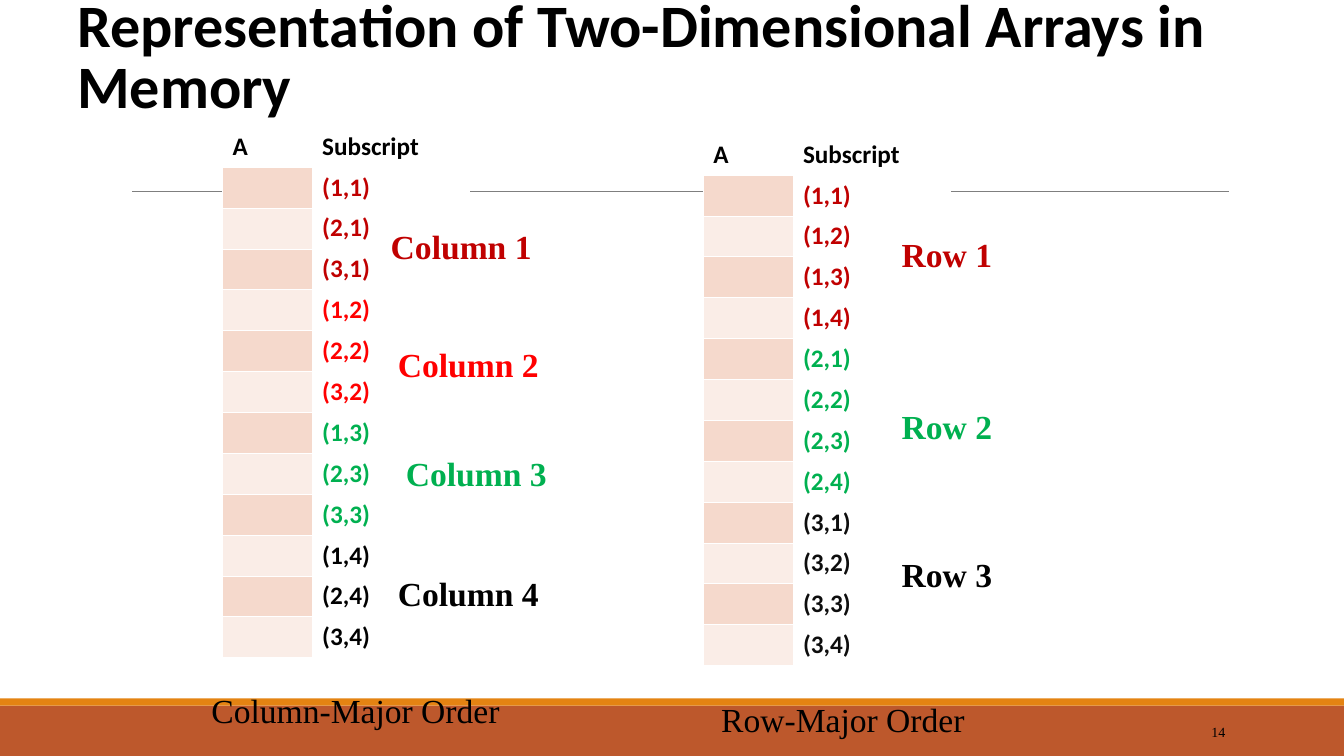
from lxml.etree import SubElement
from pptx import Presentation
from pptx.dml.color import RGBColor
from pptx.enum.shapes import MSO_CONNECTOR, MSO_SHAPE
from pptx.enum.text import MSO_ANCHOR, PP_ALIGN
from pptx.oxml.ns import qn
from pptx.util import Cm, Pt

RED, BRIGHT_RED, GREEN, BLACK = "C00000", "FF0000", "00B050", "000000"
WHITE = "FFFFFF"
BANDS = ("F5D9CC", "FAEDE7")
ROW_HEIGHT = 1.03


def color(value):
    return RGBColor.from_string(value)


def write(tf, text, font="Times New Roman", size=24, fill=BLACK, bold=False,
          align=PP_ALIGN.LEFT, spacing=None):
    p = tf.paragraphs[0]
    p.alignment = align
    p.line_spacing = spacing
    r = p.add_run()
    r.text = text
    r.font.name = font
    r.font.size = Pt(size)
    r.font.bold = bold
    r.font.color.rgb = color(fill)


class SlideBuilder:
    heading_font = "Calibri"

    def __init__(self, s):
        self.s = s

    def bar(self, x, y, w, h, fill):
        sp = self.s.shapes.add_shape(MSO_SHAPE.RECTANGLE, Cm(x), Cm(y), Cm(w), Cm(h))
        sp.shadow.inherit = False
        sp.fill.solid()
        sp.fill.fore_color.rgb = color(fill)
        sp.line.fill.background()

    def line(self, x1, y1, x2, y2, stroke, width):
        sp = self.s.shapes.add_connector(
            MSO_CONNECTOR.STRAIGHT, Cm(x1), Cm(y1), Cm(x2), Cm(y2))
        sp.line.color.rgb = color(stroke)
        sp.line.width = Pt(width)
        SubElement(sp._element.spPr, qn("a:effectLst"))

    def text(self, x, y, w, h, text, anchor=MSO_ANCHOR.TOP, **style):
        tf = self.s.shapes.add_textbox(Cm(x), Cm(y), Cm(w), Cm(h)).text_frame
        tf.word_wrap = True
        tf.vertical_anchor = anchor
        write(tf, text, **style)

    def cell(self, cell, text, fill, text_color, top, bottom):
        tcPr = cell._tc.get_or_add_tcPr()
        for side, width in (("L", 0.45), ("R", 0.45), ("T", top), ("B", bottom)):
            ln = SubElement(tcPr, qn(f"a:ln{side}"), w=str(Pt(width)))
            SubElement(SubElement(ln, qn("a:solidFill")), qn("a:srgbClr"), val=WHITE)
        cell.fill.solid()
        cell.fill.fore_color.rgb = color(fill)
        if text:
            write(cell.text_frame, text, font=self.heading_font, size=18,
                  fill=text_color, bold=True)

    def memory_table(self, x, y, subscripts):
        widths = (2.26, 3.96)
        rows = [("A", "Subscript", WHITE, BLACK)]
        rows += [("", f"({i},{j})", BANDS[n % 2], fill)
                 for n, (i, j, fill) in enumerate(subscripts)]
        table = self.s.shapes.add_table(
            len(rows), 2, Cm(x), Cm(y), Cm(sum(widths)),
            Cm(ROW_HEIGHT * len(rows))).table
        table.horz_banding = False
        for column, width in zip(table.columns, widths):
            column.width = Cm(width)
        for n, (value, subscript, band, fill) in enumerate(rows):
            table.rows[n].height = Cm(ROW_HEIGHT)
            top = 1.47 if n == 1 else 0.45
            bottom = 1.47 if n == 0 else 0.45
            self.cell(table.cell(n, 0), value, band, fill, top, bottom)
            self.cell(table.cell(n, 1), subscript, WHITE, fill, top, bottom)


def main():
    prs = Presentation()
    prs.slide_width, prs.slide_height = Cm(33.88), Cm(19.05)
    slide = SlideBuilder(prs.slides.add_slide(prs.slide_layouts[6]))

    slide.bar(0, 17.78, 33.88, 1.27, "BD582C")
    slide.bar(0, 17.6, 33.88, 0.18, "E48312")
    slide.line(3.33, 4.83, 30.99, 4.83, "7F7F7F", 0.5)
    slide.text(1.7, 1.75, 31.32, 1.42,
               "Representation of Two-Dimensional Arrays in Memory",
               anchor=MSO_ANCHOR.BOTTOM, font=slide.heading_font, size=43,
               bold=True, spacing=0.85)

    column_colors = (RED, BRIGHT_RED, GREEN, BLACK)
    row_colors = (RED, GREEN, "0D0D0D")
    slide.memory_table(5.61, 3.18, [
        (i, j, fill) for j, fill in enumerate(column_colors, 1) for i in range(1, 4)])
    slide.memory_table(17.73, 3.38, [
        (i, j, fill) for i, fill in enumerate(row_colors, 1) for j in range(1, 5)])

    labels = (
        ("Column 1", 9.6, 5.56, RED),
        ("Column 2", 9.78, 8.53, BRIGHT_RED),
        ("Column 3", 9.98, 11.3, GREEN),
        ("Column 4", 9.78, 14.3, BLACK),
        ("Row 1", 22.48, 5.77, RED),
        ("Row 2", 22.48, 10.11, GREEN),
        ("Row 3", 22.48, 13.84, BLACK),
    )
    for label, x, y, fill in labels:
        slide.text(x, y, 4.7, 1.27, label, fill=fill, bold=True)

    slide.text(5.08, 17.27, 8.4, 1.27, "Column-Major Order")
    slide.text(17.93, 17.48, 8.7, 1.27, "Row-Major Order")
    slide.text(27.51, 17.93, 3.63, 1.02, "14", anchor=MSO_ANCHOR.MIDDLE,
               size=10, align=PP_ALIGN.RIGHT)
    prs.save("out.pptx")


if __name__ == "__main__":
    main()
